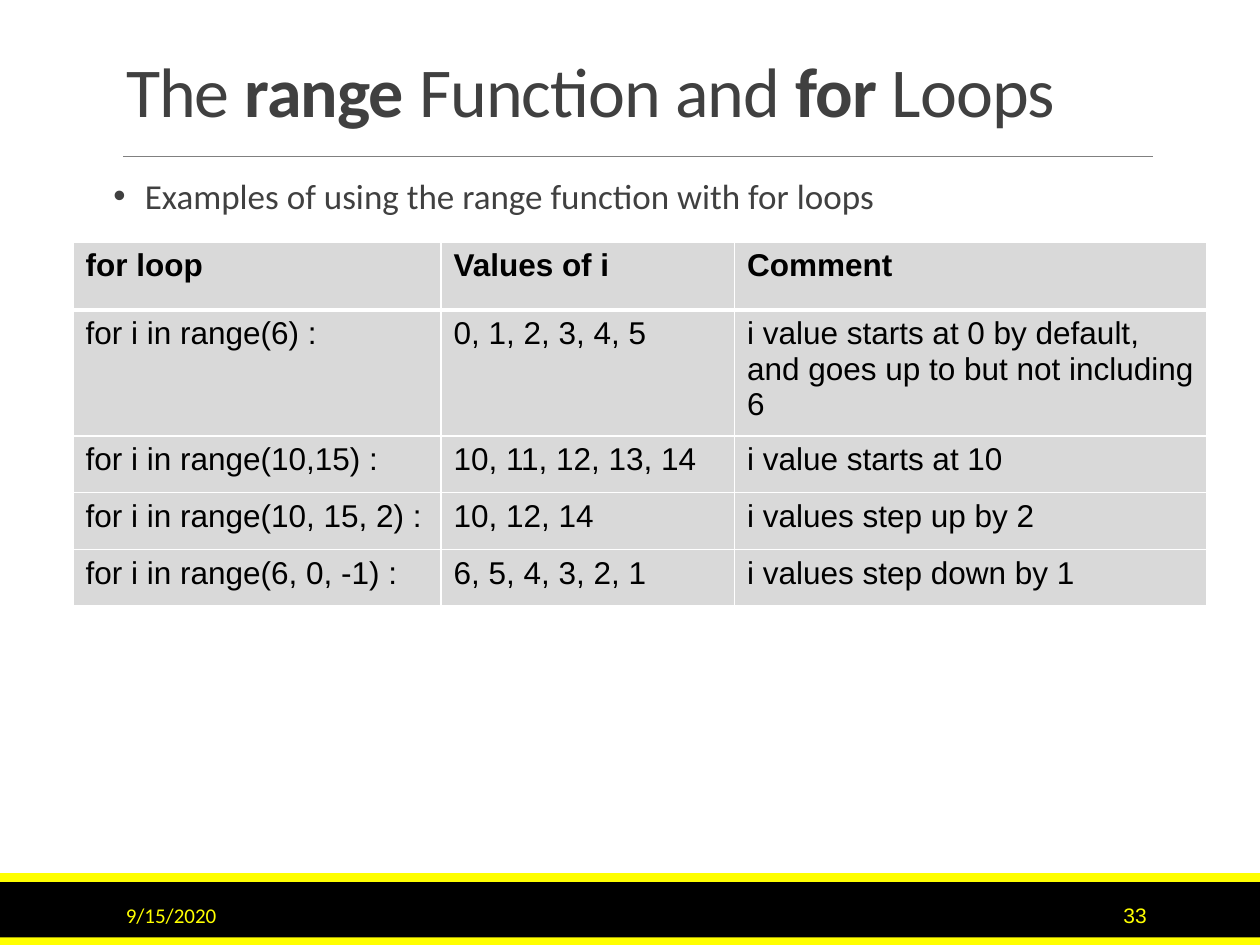
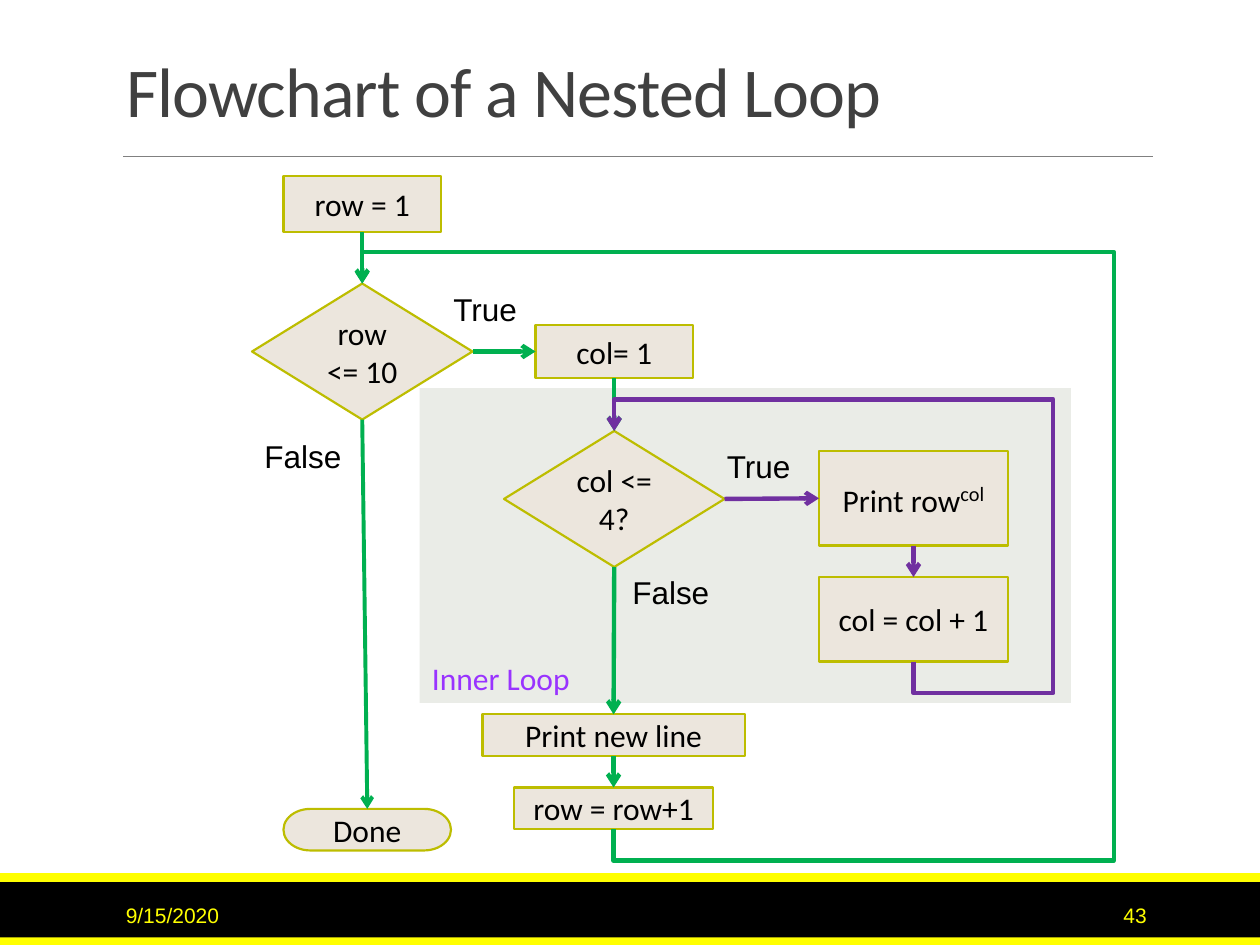
from lxml.etree import SubElement
from pptx import Presentation
from pptx.dml.color import RGBColor
from pptx.enum.shapes import MSO_CONNECTOR, MSO_SHAPE
from pptx.enum.text import MSO_ANCHOR, MSO_AUTO_SIZE, PP_ALIGN
from pptx.oxml import parse_xml
from pptx.oxml.ns import nsdecls, qn
from pptx.util import Inches, Pt

BLACK = RGBColor(0x00, 0x00, 0x00)
WHITE = RGBColor(0xFF, 0xFF, 0xFF)
YELLOW = RGBColor(0xFF, 0xFF, 0x00)
DARK_GRAY = RGBColor(0x40, 0x40, 0x40)
RULE_GRAY = RGBColor(0x80, 0x80, 0x80)
CELL_GRAY = RGBColor(0xD9, 0xD9, 0xD9)
FRAME_GRAY = RGBColor(0xEA, 0xEC, 0xE7)
SAND = RGBColor(0xEC, 0xE6, 0xDD)
OLIVE = RGBColor(0xBD, 0xBD, 0x00)
GREEN = RGBColor(0x00, 0xB0, 0x50)
PURPLE = RGBColor(0x70, 0x30, 0xA0)
VIOLET = RGBColor(0x99, 0x33, 0xFF)

TITLE_FONT = dict(name="Calibri", size=Pt(40), color=DARK_GRAY, spc=-50)
BODY_FONT = dict(name="Calibri", size=Pt(20), color=DARK_GRAY)
NODE_FONT = dict(name="Calibri", size=Pt(18), color=BLACK)
FRAME_FONT = dict(NODE_FONT, color=VIOLET)
LABEL_FONT = dict(NODE_FONT, name="Arial")
FOOTER_FONT = dict(name="Arial", size=Pt(12), color=YELLOW)
BOLD = dict(bold=True)

TITLE_PARA = dict(alignment=PP_ALIGN.LEFT, line_spacing=0.85)
BODY_PARA = dict(line_spacing=0.9, space_before=Pt(12), space_after=Pt(2))
CENTER = dict(alignment=PP_ALIGN.CENTER)
LEFT = dict(alignment=PP_ALIGN.LEFT)
RIGHT = dict(alignment=PP_ALIGN.RIGHT)

TITLE_AND_CONTENT, TITLE_ONLY = 1, 5
TOP, BOTTOM, SIDE_LEFT, SIDE_RIGHT = 0, 2, 1, 3


def set_values(target, values):
    for name, value in values.items():
        setattr(target, name, value)


def inches(values):
    return [Inches(value) for value in values]


def write(frame, paragraphs, font, para_format):
    """Fill a text frame; a paragraph is a list of (text, font changes)."""
    for index, pieces in enumerate(paragraphs):
        para = frame.add_paragraph() if index else frame.paragraphs[0]
        set_values(para, para_format)
        for text, changes in pieces:
            span = para.add_run()
            span.text = text
            values = {**font, **changes}
            span.font.color.rgb = values.pop("color")
            for name in ("spc", "baseline"):
                if name in values:
                    span._r.get_or_add_rPr().set(name, str(values.pop(name)))
            set_values(span.font, values)


def plain(*lines):
    return [[(line, {})] for line in lines]


class SlideBuilder:
    def __init__(self):
        self.deck = Presentation()
        self.deck.slide_width, self.deck.slide_height = inches((10, 7.5))
        self.page = None

    def start(self, layout, title, number, date_font):
        self.page = self.deck.slides.add_slide(self.deck.slide_layouts[layout])
        for top, height, color in ((7, 0.5, BLACK), (6.93, 0.07, YELLOW), (7.44, 0.07, YELLOW)):
            self.shape(MSO_SHAPE.RECTANGLE, (0, top, 10, height), color)
        self.line((0.98, 1.24), (9.15, 1.24), RULE_GRAY, 0.5)
        self.placeholder(self.page.shapes.title, (0.9, 0.31, 8.25, 0.79), [title],
                         TITLE_FONT, TITLE_PARA, MSO_ANCHOR.BOTTOM)
        self.text((0.9, 7.06, 2.03, 0.4), "9/15/2020", dict(FOOTER_FONT, name=date_font), LEFT)
        self.text((8.12, 7.06, 1.08, 0.4), number, FOOTER_FONT, RIGHT)

    def placeholder(self, box, place, paragraphs, font, para_format, anchor):
        box.left, box.top, box.width, box.height = inches(place)
        set_values(box.text_frame, dict(auto_size=MSO_AUTO_SIZE.NONE, word_wrap=True,
                                        vertical_anchor=anchor))
        write(box.text_frame, paragraphs, font, para_format)

    def bullets(self, place, *lines):
        box = self.page.placeholders[1]
        self.placeholder(box, place, plain(*lines), BODY_FONT, BODY_PARA, MSO_ANCHOR.TOP)
        set_values(box.text_frame, dict(margin_left=0, margin_right=0))
        for para in box.text_frame.paragraphs:
            properties = para._p.get_or_add_pPr()
            properties.set("marL", str(Inches(0.25)))
            properties.set("indent", str(-Inches(0.25)))
            SubElement(properties, qn("a:buChar")).set("char", "•")

    def text(self, place, words, font, para_format):
        box = self.page.shapes.add_textbox(*inches(place))
        set_values(box.text_frame, dict(word_wrap=True, vertical_anchor=MSO_ANCHOR.MIDDLE))
        write(box.text_frame, plain(words), font, para_format)
        return box

    def label(self, place, words):
        frame = self.text(place, words, LABEL_FONT, LEFT).text_frame
        set_values(frame, dict(word_wrap=False, vertical_anchor=MSO_ANCHOR.TOP,
                               auto_size=MSO_AUTO_SIZE.SHAPE_TO_FIT_TEXT))

    def shape(self, kind, place, fill):
        shape = self.page.shapes.add_shape(kind, *inches(place))
        shape.shadow.inherit = False
        shape.fill.solid()
        shape.fill.fore_color.rgb = fill
        shape.line.fill.background()
        return shape

    def frame(self, place, words):
        frame = self.shape(MSO_SHAPE.RECTANGLE, place, FRAME_GRAY).text_frame
        frame.vertical_anchor = MSO_ANCHOR.BOTTOM
        write(frame, plain(words), FRAME_FONT, LEFT)

    def node(self, kind, place, paragraphs):
        node = self.shape(kind, place, SAND)
        node.line.color.rgb = OLIVE
        node.line.width = Pt(1.25)
        set_values(node.text_frame, dict(word_wrap=True, vertical_anchor=MSO_ANCHOR.MIDDLE))
        write(node.text_frame, paragraphs, NODE_FONT, CENTER)
        return node

    def line(self, start, end, color, width, kind=MSO_CONNECTOR.STRAIGHT):
        line = self.page.shapes.add_connector(kind, *inches(start + end))
        line.line.color.rgb = color
        line.line.width = Pt(width)
        SubElement(line._element.spPr, qn("a:effectLst"))
        return line

    def arrow(self, source, source_side, target, target_side, color, width=2.5,
              kind=MSO_CONNECTOR.STRAIGHT):
        arrow = self.line((0, 0), (1, 1), color, width, kind)
        arrow.begin_connect(source, source_side)
        arrow.end_connect(target, target_side)
        SubElement(arrow.line._get_or_add_ln(), qn("a:tailEnd")).set("type", "arrow")
        return arrow

    def loop_back(self, source, target, right, color, gap=0.25):
        """Lead from the bottom of source round by the right to the top of target."""
        arrow = self.arrow(source, BOTTOM, target, TOP, color, kind=MSO_CONNECTOR.ELBOW)
        across = arrow.begin_x - arrow.end_x
        rise = arrow.begin_y - arrow.end_y
        bends = (-Inches(gap) / rise,
                 (arrow.begin_x - Inches(right)) / across,
                 1 + Inches(gap) / rise)
        center_x = (arrow.begin_x + arrow.end_x) // 2
        center_y = (arrow.begin_y + arrow.end_y) // 2
        set_values(arrow, dict(left=center_x - rise // 2, top=center_y - across // 2,
                               width=rise, height=across))
        transform = arrow._element.spPr.find(qn("a:xfrm"))
        transform.attrib.pop("flipV", None)
        transform.set("flipH", "1")
        transform.set("rot", str(90 * 60000))
        geometry = arrow._element.spPr.find(qn("a:prstGeom"))
        geometry.set("prst", "bentConnector5")
        guides = geometry.find(qn("a:avLst"))
        for index, bend in enumerate(bends, 1):
            guide = SubElement(guides, qn("a:gd"))
            guide.set("name", f"adj{index}")
            guide.set("fmla", f"val {round(bend * 100000)}")

    def table(self, place, widths, heights, rows):
        table = self.page.shapes.add_table(len(rows), len(widths), *inches(place)).table
        table.horz_banding = False
        for column, width in zip(table.columns, widths):
            column.width = Inches(width)
        for index, (row, height) in enumerate(zip(table.rows, heights)):
            row.height = Inches(height)
            borders = dict(lnL=1, lnR=1, lnT=3 if index == 1 else 1, lnB=1 if index else 3)
            for cell, words in zip(row.cells, rows[index]):
                cell.fill.solid()
                cell.fill.fore_color.rgb = CELL_GRAY
                write(cell.text_frame, plain(words), dict(LABEL_FONT, bold=index == 0), LEFT)
                self.cell_borders(cell, borders)

    def cell_borders(self, cell, borders):
        properties = cell._tc.get_or_add_tcPr()
        for position, (side, width) in enumerate(borders.items()):
            properties.insert(position, parse_xml(
                f'<a:{side} {nsdecls("a")} w="{Pt(width)}"><a:solidFill>'
                f'<a:srgbClr val="{WHITE}"/></a:solidFill></a:{side}>'))


def build_range_slide(builder):
    builder.start(TITLE_AND_CONTENT,
                  [("The ", {}), ("range", BOLD), (" Function and ", {}), ("for", BOLD),
                   (" Loops", {})], "33", "Calibri")
    builder.bullets((0.9, 1.37, 8.25, 0.46), "Examples of using the range function with for loops")
    builder.table((0.58, 1.92, 9, 2.68), (2.92, 2.33, 3.75), (0.54, 0.79, 0.45, 0.45, 0.45), (
        ("for loop", "Values of i", "Comment"),
        ("for i in range(6) :", "0, 1, 2, 3, 4, 5",
         "i value starts at 0 by default, and goes up to but not including 6"),
        ("for i in range(10,15) :", "10, 11, 12, 13, 14", "i value starts at 10"),
        ("for i in range(10, 15, 2) :", "10, 12, 14", "i values step up by 2"),
        ("for i in range(6, 0, -1) :", "6, 5, 4, 3, 2, 1", "i values step down by 1"),
    ))


def build_flowchart_slide(builder):
    builder.start(TITLE_ONLY, [("Flowchart of a Nested Loop", {})], "43", "Arial")
    builder.frame((3.33, 3.08, 5.17, 2.5), "Inner Loop")

    process, decision = MSO_SHAPE.FLOWCHART_PROCESS, MSO_SHAPE.FLOWCHART_DECISION
    row_start = builder.node(process, (2.25, 1.4, 1.25, 0.44), plain("row = 1"))
    row_test = builder.node(decision, (2, 2.25, 1.75, 1.08), plain("row", "<= 10"))
    col_start = builder.node(process, (4.25, 2.58, 1.25, 0.42), plain("col= 1"))
    col_test = builder.node(decision, (4, 3.42, 1.75, 1.08), plain("col <= 4?"))
    print_power = builder.node(process, (6.5, 3.58, 1.5, 0.75), [
        [("Print row", {}), ("col", dict(size=Pt(20), baseline=30000))]])
    col_step = builder.node(process, (6.5, 4.58, 1.5, 0.67), plain("col = col + 1"))
    new_line = builder.node(process, (3.83, 5.67, 2.08, 0.33), plain("Print new line"))
    row_step = builder.node(process, (4.08, 6.25, 1.58, 0.33), plain("row = row+1"))
    done = builder.node(MSO_SHAPE.FLOWCHART_TERMINATOR, (2.25, 6.42, 1.33, 0.33), plain("Done"))

    for source, target, color, width in (
            (row_start, row_test, GREEN, 2.25), (row_test, done, GREEN, 2.25),
            (col_start, col_test, GREEN, 2.5), (col_test, new_line, GREEN, 2.5),
            (new_line, row_step, GREEN, 2.5), (print_power, col_step, PURPLE, 2.5)):
        builder.arrow(source, BOTTOM, target, TOP, color, width)
    for source, target, color in ((row_test, col_start, GREEN), (col_test, print_power, PURPLE)):
        builder.arrow(source, SIDE_RIGHT, target, SIDE_LEFT, color)
    builder.loop_back(col_step, col_test, 8.36, PURPLE)
    builder.loop_back(row_step, row_test, 8.84, GREEN)

    for left, top, words in ((3.5, 2.25, "True"), (2, 3.42, "False"),
                             (5.67, 3.5, "True"), (4.92, 4.5, "False")):
        builder.label((left, top, 0.71 if words == "True" else 0.82, 0.4), words)


def main():
    builder = SlideBuilder()
    build_range_slide(builder)
    build_flowchart_slide(builder)
    builder.deck.save("out.pptx")


if __name__ == "__main__":
    main()
